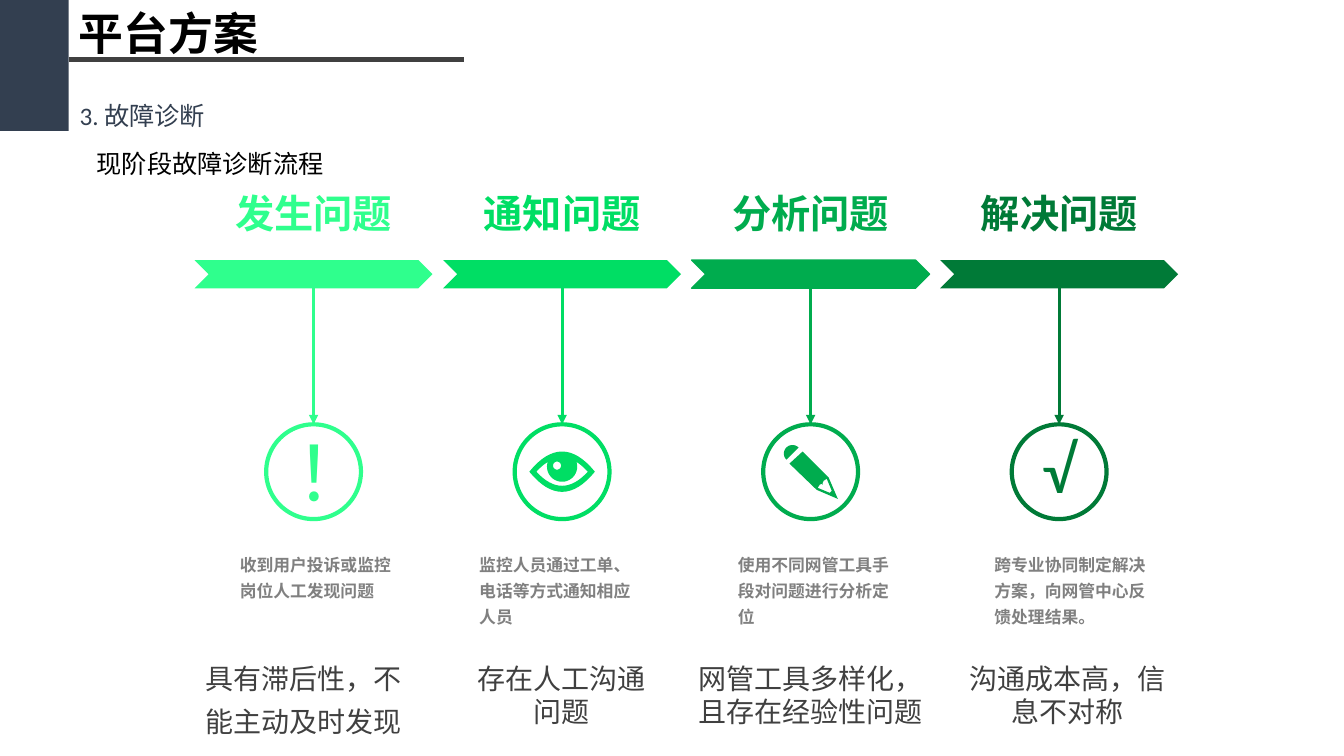
from math import cos, radians, sin

from lxml.etree import SubElement
from pptx import Presentation
from pptx.dml.color import RGBColor
from pptx.enum.shapes import MSO_CONNECTOR as CONN, MSO_SHAPE as SHAPE
from pptx.enum.text import MSO_ANCHOR as ANCHOR, MSO_AUTO_SIZE as FIT, PP_ALIGN as ALIGN
from pptx.oxml.ns import qn
from pptx.util import Inches, Pt

COLORS = {"navy": "333F50", "rule": "404040", "black": "000000", "gray": "808080",
          "mint": "2FFF8D", "green": "00DE64", "leaf": "00AC4E", "forest": "007A37"}
SANS, CJK = "Calibri", "Noto Sans CJK SC"
LEFT, COL_W, BAR_W = 1.93, 2.465, 2.36
STEPS = [
    dict(head="发生问题", color="mint", icon="alert",
         note="收到用户投诉或监控岗位人工发现问题", note_dx=0.35,
         result="具有滞后性，不能主动及时发现", box=(0.01, 6.41, 2.35, 0.98),
         align=ALIGN.LEFT, spacing=1.3),
    dict(head="通知问题", color="green", icon="eye",
         note="监控人员通过工单、电话等方式通知相应人员", note_dx=0.26,
         result="存在人工沟通问题", box=(0.17, 6.51, 2.01, 0.77)),
    dict(head="分析问题", color="leaf", icon="pencil",
         note="使用不同网管工具手段对问题进行分析定位", note_dx=0.36,
         result="网管工具多样化，且存在经验性问题", box=(-0.04, 6.51, 2.44, 0.77)),
    dict(head="解决问题", color="forest", icon="check",
         note="跨专业协同制定解决方案，向网管中心反馈处理结果。", note_dx=0.44,
         result="沟通成本高，信息不对称", box=(0.17, 6.51, 2.19, 0.77)),
]


def rgb(name):
    """Return the named colour."""
    return RGBColor.from_string(COLORS[name])


def style(sp, fill=None, line=None, width=1):
    """Set the fill and outline of a shape."""
    sp.shadow.inherit = False
    if fill:
        sp.fill.solid()
        sp.fill.fore_color.rgb = rgb(fill)
    else:
        sp.fill.background()
    if line:
        sp.line.color.rgb = rgb(line)
        sp.line.width = Pt(width)
    else:
        sp.line.fill.background()


def write(sp, text, size, color, font=SANS, bold=False, align=ALIGN.LEFT, spacing=None, wrap=True):
    """Fill a text box or placeholder with one formatted paragraph."""
    tf = sp.text_frame
    tf.text = text
    tf.word_wrap, tf.auto_size, tf.vertical_anchor = wrap, FIT.NONE, ANCHOR.TOP
    p = tf.paragraphs[0]
    p.alignment = align
    if spacing:
        p.line_spacing = spacing
    f = p.runs[0].font
    f.name, f.size, f.bold, f.color.rgb = font, Pt(size), bold, rgb(color)


def add_text(s, box, *args, **kwargs):
    """Add a text box at the given box in inches."""
    write(s.shapes.add_textbox(*map(Inches, box)), *args, **kwargs)


def add_line(s, start, end, color, width, arrow=False):
    """Draw a straight line, with an arrowhead if asked."""
    c = s.shapes.add_connector(CONN.STRAIGHT, *map(Inches, start + end))
    c.line.color.rgb, c.line.width = rgb(color), Pt(width)
    if arrow:
        SubElement(c.line._get_or_add_ln(), qn("a:tailEnd"), type="triangle")
    SubElement(c._element.spPr, qn("a:effectLst"))


def add_outline(shapes, center, contours, color):
    """Draw closed contours, given in inches from a center, as one shape."""
    cx, cy = center
    rings = [[(Inches(cx + x), Inches(cy + y)) for x, y in ring] for ring in contours]
    fb = shapes.build_freeform(*rings[0][0])
    for i, ring in enumerate(rings):
        if i:
            fb.move_to(*ring[0])
        fb.add_line_segments(ring[1:], close=True)
    style(fb.convert_to_shape(), fill=color)


def arc(x, y, radius, start, stop, n=24):
    """Return points along a circular arc between two angles in degrees."""
    angles = [radians(start + (stop - start) * i / n) for i in range(n + 1)]
    return [(x + radius * cos(a), y + radius * sin(a)) for a in angles]


def lid(half_w, half_h, start, stop, n=16):
    """Return points of a parabolic eyelid, with start and stop as shares of the half width."""
    shares = [start + (stop - start) * i / n for i in range(n + 1)]
    return [(half_w * t, half_h * (1 - t * t)) for t in shares]


def draw_eye(s, center, color):
    """Draw an eye with an iris and a highlight."""
    outer = lid(0.325, -0.2, -1, 1) + lid(0.325, 0.2, 1, -1)
    white = (arc(0, -0.05, 0.15, 200, -20) + lid(0.255, -0.14, 0.57, 1)
             + lid(0.255, 0.14, 1, -1) + lid(0.255, -0.14, -1, -0.57))
    add_outline(s.shapes, center, [outer, white, arc(-0.05, -0.06, 0.04, 0, 360)], color)


def draw_pencil(s, center, color):
    """Draw a pencil as a group of eraser and body."""
    body = [(0.06, 0.18), (0.27, 0.27), (0.18, 0.06), (-0.08, -0.2), (-0.21, -0.08)]
    wood = [(0.09, 0.13), (0.11, 0.12), (0.12, 0.13), (0.12, 0.11), (0.13, 0.09),
            (0.16, 0.07), (0.21, 0.19), (0.19, 0.21), (0.07, 0.16)]
    shapes = s.shapes.add_group_shape().shapes
    add_outline(shapes, center, [arc(-0.18, -0.18, 0.085, 135, 315)], color)
    add_outline(shapes, center, [body, wood], color)


def draw_icon(s, icon, center, color):
    """Draw the icon of a step around a center."""
    cx, cy = center
    if icon == "eye":
        draw_eye(s, center, color)
    elif icon == "pencil":
        draw_pencil(s, center, color)
    elif icon == "alert":
        add_text(s, (cx - 0.28, cy - 0.5, 0.56, 1.01), "！", 54, color, align=ALIGN.CENTER)
    else:
        add_text(s, (cx - 0.31, cy - 0.5, 0.62, 0.91), "√", 48, color, align=ALIGN.CENTER)


def draw_header(s):
    """Place the corner block, title, rule and subtitles."""
    block = s.shapes.add_shape(SHAPE.RECTANGLE, 0, 0, Inches(0.68), Inches(1.3))
    style(block, fill="navy")
    add_line(s, (0.68, 0.59), (4.6, 0.59), "rule", 3)
    title = s.shapes.title
    title.left, title.top, title.width, title.height = map(Inches, (0.68, 0.01, 2.01, 0.64))
    write(title, "平台方案", 32, "black", CJK, True)
    add_text(s, (0.69, 0.95, 4.31, 0.4), "3. 故障诊断", 18, "navy")
    add_text(s, (0.86, 1.42, 6.98, 0.4), "现阶段故障诊断流程", 18, "black")


def draw_step(s, left, step):
    """Draw one column of the process from its left edge."""
    color, cx, cy = step["color"], left + BAR_W / 2, 4.68
    bar = s.shapes.add_shape(SHAPE.CHEVRON, *map(Inches, (left, 2.58, BAR_W, 0.28)))
    style(bar, fill=color, line=color if step["icon"] == "pencil" else None)
    add_text(s, (cx - 0.885, 1.83, 1.77, 0.57), step["head"], 28, color, bold=True,
             align=ALIGN.CENTER, wrap=False)
    ring = s.shapes.add_shape(SHAPE.OVAL, *map(Inches, (cx - 0.47, cy - 0.47, 0.94, 0.94)))
    style(ring, line=color, width=3)
    add_line(s, (cx, 2.72), (cx, cy - 0.47), color, 2.25, arrow=True)
    draw_icon(s, step["icon"], (cx, cy), color)
    add_text(s, (left + step["note_dx"], 5.39, 1.83, 0.89), step["note"], 12, "gray", CJK,
             True, spacing=1.3)
    dx, *box = step["box"]
    add_text(s, (left + dx, *box), step["result"], 20, "rule",
             align=step.get("align", ALIGN.CENTER), spacing=step.get("spacing"))


def main():
    """Build the slide and save it."""
    prs = Presentation()
    prs.slide_width, prs.slide_height = Inches(13.33), Inches(7.5)
    s = prs.slides.add_slide(prs.slide_layouts[5])
    draw_header(s)
    for i, step in enumerate(STEPS):
        draw_step(s, LEFT + i * COL_W, step)
    prs.save("out.pptx")


if __name__ == "__main__":
    main()
